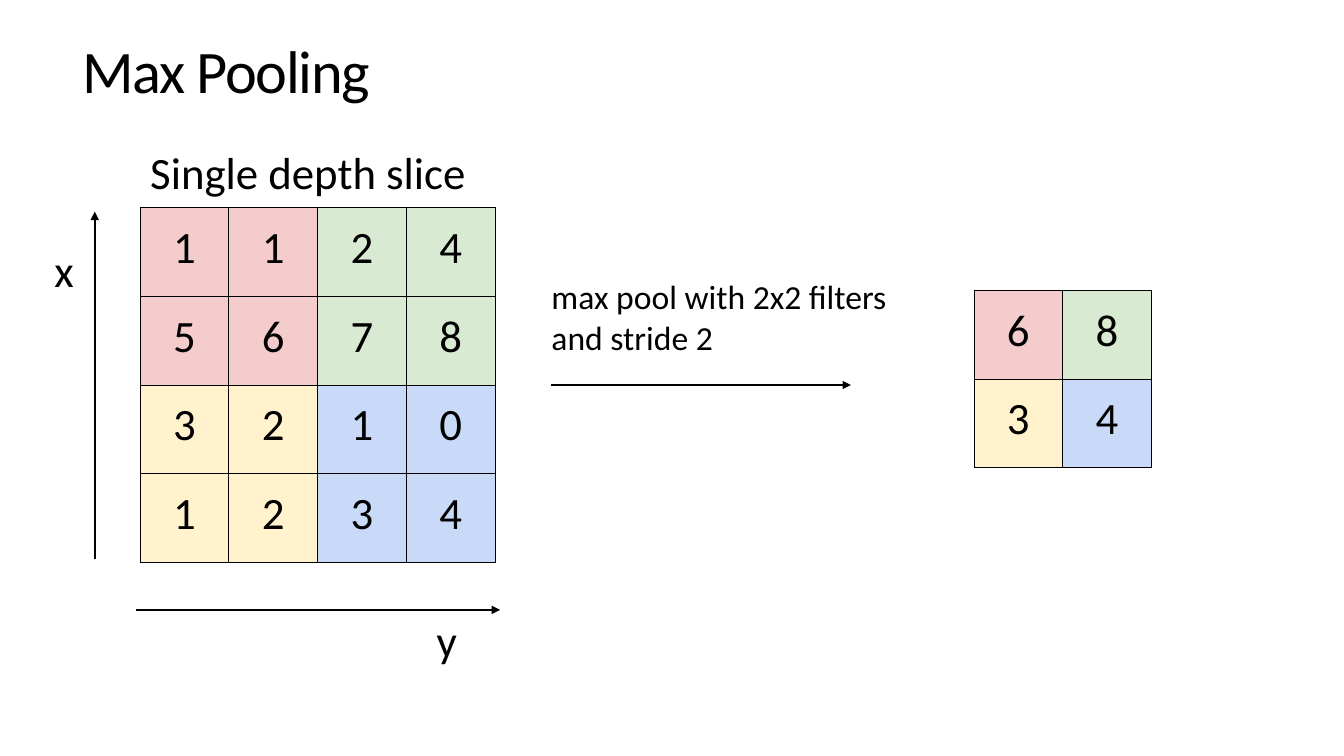
import pptx
import pptx.util
import pptx.dml.color
import pptx.enum.shapes
import pptx.enum.text
import pptx.oxml
import pptx.oxml.ns
from lxml import etree

PX = 9144
CELL = 88
INSET = 13
BLACK = pptx.dml.color.RGBColor(0x00, 0x00, 0x00)
RED = pptx.dml.color.RGBColor(0xF4, 0xCC, 0xCC)
GREEN = pptx.dml.color.RGBColor(0xD9, 0xEA, 0xD3)
YELLOW = pptx.dml.color.RGBColor(0xFF, 0xF2, 0xCC)
BLUE = pptx.dml.color.RGBColor(0xC9, 0xDA, 0xF8)
QUADRANTS = [[RED, GREEN], [YELLOW, BLUE]]
BORDER = (
    '<a:{} {} w="9525"><a:solidFill><a:srgbClr val="{}"/></a:solidFill></a:{}>'
)

presentation = pptx.Presentation()
presentation.slide_width = 1333 * PX
presentation.slide_height = 750 * PX
slide = presentation.slides.add_slide(presentation.slide_layouts[6])


def format_font(font, size):
    font.name = "Calibri"
    font.size = pptx.util.Pt(size)
    font.color.rgb = BLACK


def add_label(text, left, top, width, height, size, inset=INSET):
    box = slide.shapes.add_textbox(left * PX, top * PX, width * PX, height * PX)
    frame = box.text_frame
    frame.word_wrap = True
    frame.margin_left = frame.margin_right = inset * PX
    frame.margin_top = frame.margin_bottom = inset * PX
    frame.text = text
    format_font(frame.paragraphs[0].runs[0].font, size)
    return frame.paragraphs[0]


depth_slice = [[1, 1, 2, 4], [5, 6, 7, 8], [3, 2, 1, 0], [1, 2, 3, 4]]
pooled = [
    [max(depth_slice[row + i][column + j] for i in (0, 1) for j in (0, 1))
     for column in (0, 2)]
    for row in (0, 2)
]

for values, left, top in [(depth_slice, 139, 206), (pooled, 966, 288)]:
    count = len(values)
    side = count * CELL * PX
    table = slide.shapes.add_table(count, count, left * PX, top * PX, side, side).table
    table.first_row = False
    table.horz_banding = False
    for row in range(count):
        table.rows[row].height = CELL * PX
        table.columns[row].width = CELL * PX
        for column in range(count):
            cell = table.cell(row, column)
            cell.margin_left = cell.margin_right = INSET * PX
            cell.margin_top = cell.margin_bottom = INSET * PX
            cell.text = str(values[row][column])
            paragraph = cell.text_frame.paragraphs[0]
            paragraph.alignment = pptx.enum.text.PP_ALIGN.CENTER
            format_font(paragraph.runs[0].font, 32)
            cell.fill.solid()
            cell.fill.fore_color.rgb = QUADRANTS[2 * row // count][2 * column // count]
            properties = cell._tc.get_or_add_tcPr()
            for position, edge in enumerate(("lnL", "lnR", "lnT", "lnB")):
                border = BORDER.format(edge, pptx.oxml.ns.nsdecls("a"), BLACK, edge)
                properties.insert(position, pptx.oxml.parse_xml(border))

for start_x, start_y, end_x, end_y in [
    (94, 555, 94, 210),
    (135, 605, 496, 605),
    (547, 382, 844, 382),
]:
    arrow = slide.shapes.add_connector(
        pptx.enum.shapes.MSO_CONNECTOR.STRAIGHT,
        start_x * PX, start_y * PX, end_x * PX, end_y * PX,
    )
    arrow.line.color.rgb = BLACK
    arrow.line.width = pptx.util.Pt(1.5)
    head = etree.SubElement(arrow.line._get_or_add_ln(), pptx.oxml.ns.qn("a:tailEnd"))
    head.set("type", "triangle")
    etree.SubElement(arrow._element.spPr, pptx.oxml.ns.qn("a:effectLst"))

add_label("Single depth slice", 136, 131, 382, 82, 32)
add_label("x", 41, 228, 57, 68, 32)
add_label("y", 420, 595, 57, 53, 32)
add_label("max pool with 2x2 filters and stride 2", 534, 261, 390, 106, 24)

title = add_label("Max Pooling", 72, 36, 1275, 98, 43.1, inset=5)
title.alignment = pptx.enum.text.PP_ALIGN.JUSTIFY
title.line_spacing = 0.9
title.runs[0].font._element.set("spc", "-100")
title._p.getparent().getparent().txBody.bodyPr.set("lIns", str(10 * PX))

presentation.save("out.pptx")
